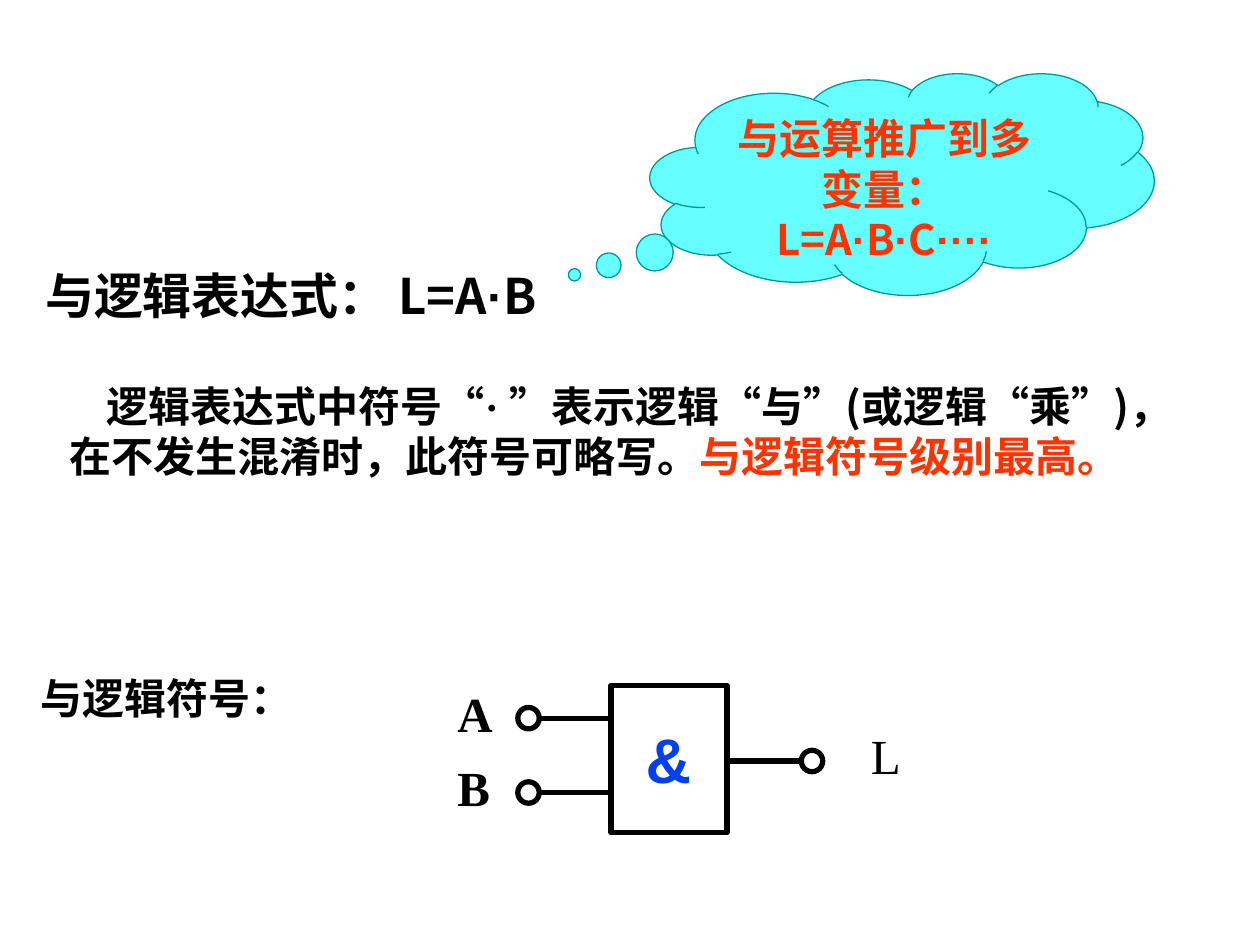
from dataclasses import dataclass
from typing import NamedTuple

from lxml import etree
from pptx import Presentation
from pptx.dml.color import RGBColor
from pptx.enum.shapes import MSO_CONNECTOR, MSO_SHAPE
from pptx.enum.text import MSO_ANCHOR, PP_ALIGN
from pptx.oxml.ns import qn
from pptx.util import Inches, Pt

LEFT, CENTER = PP_ALIGN.LEFT, PP_ALIGN.CENTER
TOP, MIDDLE = MSO_ANCHOR.TOP, MSO_ANCHOR.MIDDLE
STRAIGHT = MSO_CONNECTOR.STRAIGHT
RECTANGLE, OVAL = MSO_SHAPE.RECTANGLE, MSO_SHAPE.OVAL
CLOUD = MSO_SHAPE.CLOUD_CALLOUT


@dataclass(frozen=True)
class Theme:
    ink: str = "010000"
    accent: str = "FF3300"
    operator: str = "0240EE"
    cloud: str = "66FFFF"
    cloud_edge: str = "009999"
    cjk: str = "Noto Sans CJK SC"
    sans: str = "Arial"
    serif: str = "Times New Roman"
    body: int = 24
    heading: int = 28
    symbol: int = 36
    hairline: float = 0.75
    stroke: float = 3


THEME = Theme()


class Run(NamedTuple):
    text: str
    font: str = THEME.cjk
    color: str = THEME.ink


class Terminal(NamedTuple):
    label: str
    label_left: float
    label_width: float
    circle_left: float
    wire_start: float
    wire_end: float
    y: float
    bold: bool


def write(frame, runs: list[Run], *, size: int, bold: bool = True, align=LEFT,
          anchor=TOP, wrap: bool = True, margin: float = 0, indent: float = 0) -> None:
    """Fill a text frame with one paragraph of formatted runs."""
    frame.word_wrap = wrap
    frame.vertical_anchor = anchor
    paragraph = frame.paragraphs[0]
    paragraph.alignment = align
    properties = paragraph._p.get_or_add_pPr()
    properties.set("marL", str(Inches(margin)))
    properties.set("indent", str(Inches(indent)))
    for part in runs:
        run = paragraph.add_run()
        run.text = part.text
        run.font.name = part.font
        run.font.size = Pt(size)
        run.font.bold = bold
        run.font.color.rgb = RGBColor.from_string(part.color)
        east_asian = etree.SubElement(run._r.get_or_add_rPr(), qn("a:ea"))
        east_asian.set("typeface", THEME.cjk)


def add_text(slide, left: float, top: float, width: float, height: float,
             runs: list[Run], **text_format) -> None:
    box = slide.shapes.add_textbox(Inches(left), Inches(top), Inches(width), Inches(height))
    write(box.text_frame, runs, **text_format)


def add_outline(slide, kind, left: float, top: float, width: float, height: float, *,
                line: str = THEME.ink, weight: float = THEME.stroke, fill: str = ""):
    shape = slide.shapes.add_shape(
        kind, Inches(left), Inches(top), Inches(width), Inches(height))
    shape.shadow.inherit = False
    if fill:
        shape.fill.solid()
        shape.fill.fore_color.rgb = RGBColor.from_string(fill)
    else:
        shape.fill.background()
    shape.line.color.rgb = RGBColor.from_string(line)
    shape.line.width = Pt(weight)
    return shape


def add_wire(slide, start: float, end: float, y: float) -> None:
    wire = slide.shapes.add_connector(STRAIGHT, Inches(start), Inches(y), Inches(end), Inches(y))
    wire.line.color.rgb = RGBColor.from_string(THEME.ink)
    wire.line.width = Pt(THEME.stroke)
    etree.SubElement(wire._element.spPr, qn("a:effectLst"))


def add_terminal(slide, terminal: Terminal) -> None:
    diameter, label_height = 0.17, 0.57
    add_wire(slide, terminal.wire_start, terminal.wire_end, terminal.y)
    add_outline(slide, OVAL, terminal.circle_left, terminal.y - diameter / 2,
                diameter, diameter)
    add_text(slide, terminal.label_left, terminal.y - 0.33, terminal.label_width,
             label_height, [Run(terminal.label, THEME.serif)], size=THEME.heading,
             bold=terminal.bold, align=CENTER, anchor=MIDDLE, wrap=False)


def main() -> None:
    deck = Presentation()
    deck.slide_width, deck.slide_height = Inches(10), Inches(7.5)
    slide = deck.slides.add_slide(deck.slide_layouts[6])

    # Headings
    add_text(slide, 0, 5.29, 3.31, 0.56, [Run("与逻辑符号：")],
             size=THEME.body, margin=0.22)
    add_text(slide, 0.26, 2.06, 4.33, 0.55,
             [Run("与逻辑表达式： L=A"), Run("·", THEME.sans), Run("B")],
             size=THEME.heading, margin=0.38, indent=-0.38)

    # Thought cloud
    cloud = add_outline(slide, CLOUD, 5.16, 0.58, 4, 1.76, line=THEME.cloud_edge,
                        weight=THEME.hairline, fill=THEME.cloud)
    cloud.adjustments[0], cloud.adjustments[1] = -0.65, 0.41
    formula = [("与运算推广到多变量： L=A", THEME.cjk), ("·", THEME.sans),
               ("B", THEME.cjk), ("·", THEME.sans),
               ("C", THEME.cjk), ("····", THEME.sans)]
    write(cloud.text_frame, [Run(text, font, THEME.accent) for text, font in formula],
          size=THEME.body, align=CENTER)

    # AND gate
    add_outline(slide, RECTANGLE, 4.85, 5.44, 0.92, 1.17)
    for terminal in (
        Terminal("A", 3.53, 0.48, 4.11, 4.28, 4.86, 5.7, True),
        Terminal("B", 3.53, 0.46, 4.11, 4.28, 4.86, 6.29, True),
        Terminal("L", 6.81, 0.44, 6.36, 5.77, 6.36, 6.04, False),
    ):
        add_terminal(slide, terminal)
    add_text(slide, 5.01, 5.67, 0.59, 0.7, [Run("&", THEME.sans, THEME.operator)],
             size=THEME.symbol, align=CENTER, anchor=MIDDLE, wrap=False)

    # Explanation
    add_text(slide, 0.45, 2.97, 9, 1.36, [
        Run("逻辑表达式中符号"), Run("“· ”", THEME.serif),
        Run("表示逻辑"), Run("“", THEME.serif), Run("与"), Run("”", THEME.serif),
        Run("(或逻辑"), Run("“", THEME.serif), Run("乘"), Run("”", THEME.serif),
        Run(")，在不发生混淆时，此符号可略写。"),
        Run("与逻辑符号级别最高。", color=THEME.accent),
    ], size=THEME.body, indent=0.3)

    deck.save("out.pptx")


if __name__ == "__main__":
    main()
